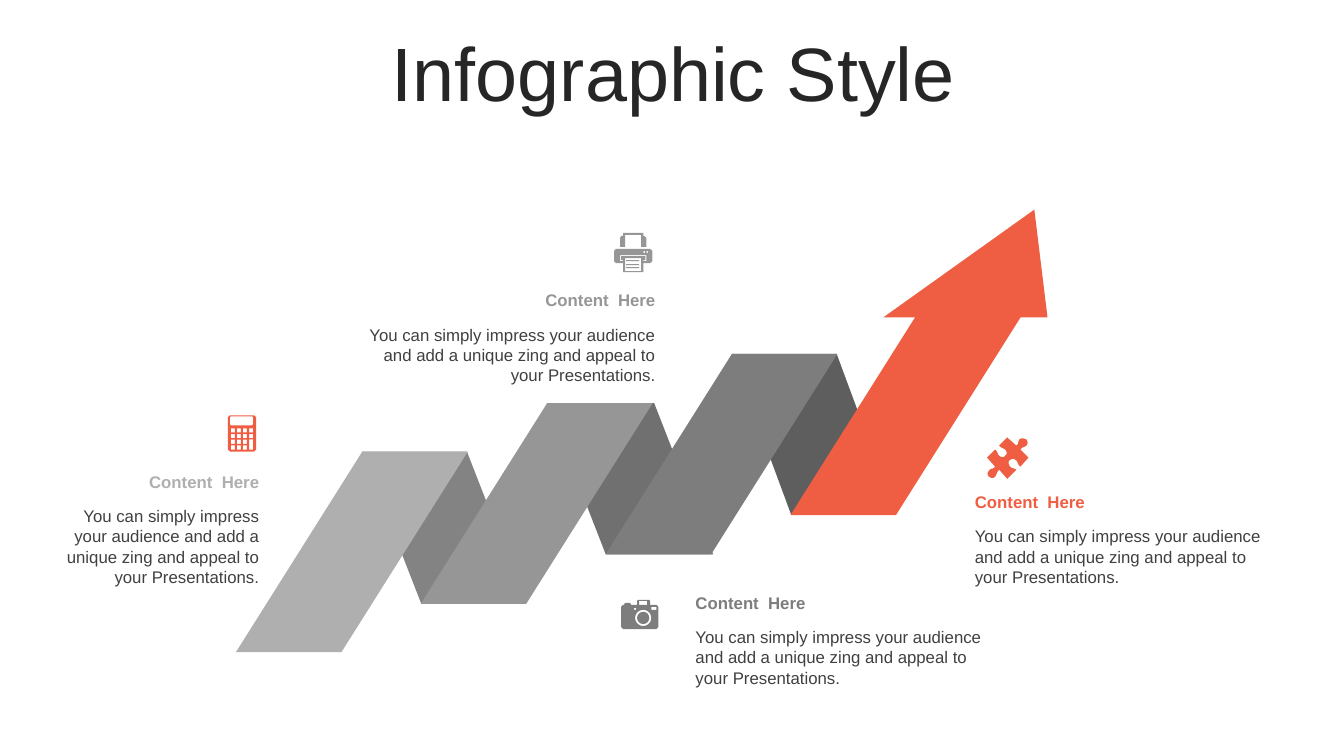
from dataclasses import dataclass
from math import cos, pi, sin

from pptx import Presentation
from pptx.dml.color import RGBColor
from pptx.enum.shapes import MSO_SHAPE
from pptx.enum.text import MSO_ANCHOR, MSO_AUTO_SIZE, PP_ALIGN
from pptx.util import Inches, Pt

SLANT = MSO_SHAPE.PARALLELOGRAM
PEAK = MSO_SHAPE.ISOSCELES_TRIANGLE
LEFT, RIGHT, CENTER = PP_ALIGN.LEFT, PP_ALIGN.RIGHT, PP_ALIGN.CENTER
MIDDLE = MSO_ANCHOR.MIDDLE
FIXED, GROW = MSO_AUTO_SIZE.NONE, MSO_AUTO_SIZE.SHAPE_TO_FIT_TEXT


@dataclass(frozen=True)
class Theme:
    font: str = "Arial"
    title: int = 54
    body: int = 12
    ink: str = "262626"
    text: str = "404040"
    accent: str = "EF5E42"
    bands: tuple = ("AFAFAF", "969696", "7D7D7D", "EF5E42")
    folds: tuple = ("838383", "707070", "5E5E5E")


def box(x, y, w, h, cut=0):
    r, b = x + w, y + h
    if not cut:
        return [(x, y), (r, y), (r, b), (x, b)]
    return [(x + cut, y), (r - cut, y), (r, y + cut), (r, b - cut),
            (r - cut, b), (x + cut, b), (x, b - cut), (x, y + cut)]


def disc(x, y, r, n=32):
    return [(x + r * cos(2 * pi * i / n), y + r * sin(2 * pi * i / n)) for i in range(n)]


def trace(steps, n=6):
    points = []
    for step in steps:
        if len(step) == 2:
            points.append(step)
            continue
        x, y = points[-1]
        for i in range(1, n + 1):
            t = i / n
            u = 1 - t
            mix = (u ** 3, 3 * u * u * t, 3 * u * t * t, t ** 3)
            points.append((sum(m * v for m, v in zip(mix, (x, *step[::2]))),
                           sum(m * v for m, v in zip(mix, (y, *step[1::2])))))
    return points


class Page:
    def __init__(self, slide, theme):
        self.slide = slide
        self.theme = theme

    def style(self, para, size, color, bold=False, align=LEFT):
        para.alignment = align
        font = para.font
        font.name, font.size, font.bold = self.theme.font, Pt(size), bold
        font.color.rgb = RGBColor.from_string(color)

    def paint(self, shape, color):
        shape.shadow.inherit = False
        shape.fill.solid()
        shape.fill.fore_color.rgb = RGBColor.from_string(color)
        shape.line.fill.background()

    def title(self, text, x, y, w, h):
        shape = self.slide.shapes.title
        shape.left, shape.top, shape.width, shape.height = map(Inches, (x, y, w, h))
        frame = shape.text_frame
        frame.text = text
        frame.auto_size = FIXED
        frame.vertical_anchor = MIDDLE
        para = frame.paragraphs[0]
        para.line_spacing = 0.9
        self.style(para, self.theme.title, self.theme.ink, align=CENTER)

    def label(self, text, x, y, w, h, color, align, bold=False):
        frame = self.slide.shapes.add_textbox(*map(Inches, (x, y, w, h))).text_frame
        frame.word_wrap = True
        frame.auto_size = GROW
        frame.text = text
        self.style(frame.paragraphs[0], self.theme.body, color, bold, align)

    def block(self, head, text, x, y, w, h, color, align):
        self.label(head, x, y, w, 0.3, color, align, True)
        self.label(text, x, y + 0.34, w, h, self.theme.text, align)

    def preset(self, kind, x, y, w, h, lean, color, flip=False):
        shape = self.slide.shapes.add_shape(kind, *map(Inches, (x, y, w, h)))
        shape.adjustments[0] = lean
        if flip:
            shape._element.spPr.get_or_add_xfrm().set("flipV", "1")
        self.paint(shape, color)

    def icon(self, loops, color):
        path = None
        for loop in loops:
            first, *rest = [(Inches(x), Inches(y)) for x, y in loop]
            if path is None:
                path = self.slide.shapes.build_freeform(*first)
            else:
                path.move_to(*first)
            path.add_line_segments(rest, close=True)
        self.paint(path.convert_to_shape(), color)


def counter():
    keys = [box(2.29 + 0.06 * c, 4.25 + 0.17 * r / 3, 0.04, 0.04)
            for r in range(4) for c in range(4) if c < 3 or r < 2]
    return [box(2.26, 4.12, 0.28, 0.36, 0.02), box(2.28, 4.13, 0.23, 0.09, 0.01),
            box(2.47, 4.36, 0.04, 0.1), *keys]


def printer():
    feed = [(6.18, 2.31), (6.38, 2.31), (6.38, 2.34), (6.39, 2.34), (6.41, 2.36),
            (6.41, 2.45), (6.36, 2.45), (6.36, 2.33), (6.2, 2.33), (6.2, 2.45),
            (6.15, 2.45), (6.15, 2.36), (6.16, 2.34), (6.18, 2.34)]
    case = [(6.11, 2.47), (6.45, 2.47), (6.47, 2.49), (6.47, 2.59), (6.45, 2.61),
            (6.38, 2.61), (6.38, 2.7), (6.18, 2.7), (6.18, 2.61), (6.11, 2.61),
            (6.09, 2.59), (6.09, 2.49)]
    slot = [(6.15, 2.53), (6.15, 2.59), (6.18, 2.59), (6.18, 2.58), (6.16, 2.58),
            (6.16, 2.54), (6.4, 2.54), (6.4, 2.58), (6.38, 2.58), (6.38, 2.59),
            (6.41, 2.59), (6.41, 2.53)]
    lines = [box(6.21, y, 0.13, 0.01) for y in (2.58, 2.62, 2.65)]
    lamps = [disc(x, 2.5, 0.01) for x in (6.39, 6.42)]
    return [feed, case, slot, box(6.2, 2.56, 0.16, 0.13), *lines, *lamps]


def camera():
    case = [(6.33, 5.95), (6.44, 5.95), (6.45, 5.96), (6.45, 6), (6.51, 6),
            (6.53, 6.02), (6.53, 6.22), (6.51, 6.24), (6.18, 6.24), (6.16, 6.22),
            (6.16, 6.02), (6.18, 6), (6.19, 6), (6.2, 5.98), (6.25, 5.98),
            (6.26, 6), (6.32, 6), (6.32, 5.96)]
    return [case, disc(6.38, 6.13, 0.08), disc(6.38, 6.13, 0.06),
            box(6.29, 6.03, 0.02, 0.02), box(6.46, 6.02, 0.05, 0.03),
            box(6.34, 5.96, 0.08, 0.04)]


def puzzle():
    return [trace([
        (10.18, 4.36), (10.19, 4.37, 10.2, 4.4, 10.18, 4.42),
        (10.16, 4.44, 10.14, 4.43, 10.12, 4.46), (10.2, 4.54), (10.12, 4.63),
        (10.09, 4.61, 10.1, 4.58, 10.07, 4.56), (10.05, 4.55, 10.03, 4.55, 10.01, 4.57),
        (10, 4.58, 10, 4.61, 10.02, 4.63), (10.04, 4.65, 10.05, 4.64, 10.08, 4.66),
        (9.99, 4.75), (9.91, 4.66), (9.88, 4.69, 9.89, 4.7, 9.87, 4.73),
        (9.85, 4.75, 9.82, 4.74, 9.81, 4.73), (9.79, 4.71, 9.79, 4.69, 9.81, 4.67),
        (9.82, 4.64, 9.85, 4.66, 9.87, 4.63), (9.79, 4.54), (9.87, 4.46),
        (9.9, 4.48, 9.89, 4.51, 9.91, 4.52), (9.93, 4.54, 9.96, 4.54, 9.97, 4.52),
        (9.99, 4.51, 9.99, 4.48, 9.97, 4.46), (9.94, 4.44, 9.94, 4.45, 9.91, 4.42),
        (9.99, 4.34), (10.08, 4.42), (10.11, 4.4, 10.09, 4.39, 10.11, 4.36),
        (10.13, 4.34, 10.16, 4.35, 10.18, 4.36)])]


def main():
    deck = Presentation()
    deck.slide_width, deck.slide_height = Inches(13.33), Inches(7.5)
    theme = Theme()
    page = Page(deck.slides.add_slide(deck.slide_layouts[5]), theme)
    page.title("Infographic Style", 0.35, 0.37, 12.66, 0.79)

    pitch = 5.5 / 3
    tops = (4.48, 4, 3.51, 3.12)
    sizes = ((1.63, 1.51, 0.39), (1.65, 1.5, 0.39), (1.63, 1.59, 0.37))
    for i in (2, 1, 0):
        page.preset(SLANT, 3.59 + i * pitch, tops[i], *sizes[i], theme.folds[i], True)
    for i, (top, color) in enumerate(zip(tops, theme.bands)):
        page.preset(SLANT, 2.34 + i * pitch, top, 2.3, 1.99, 0.63, color)
    page.preset(PEAK, 8.76, 2.08, 1.63, 1.07, 0.92, theme.accent)

    head = "Content  Here"
    text = ("You can simply impress your audience and add a unique zing "
            "and appeal to your Presentations.")
    spots = ((0.37, 4.63, 2.3, 0.91, RIGHT), (3.5, 2.83, 3.1, 0.71, RIGHT),
             (6.8, 5.83, 3.1, 0.71, LEFT), (9.57, 4.83, 3.25, 0.71, LEFT))
    for (x, y, w, h, align), color in zip(spots, theme.bands):
        page.block(head, text, x, y, w, h, color, align)

    hues = (theme.accent, *theme.bands[1:])
    for draw, color in zip((counter, printer, camera, puzzle), hues):
        page.icon(draw(), color)
    deck.save("out.pptx")


if __name__ == "__main__":
    main()
